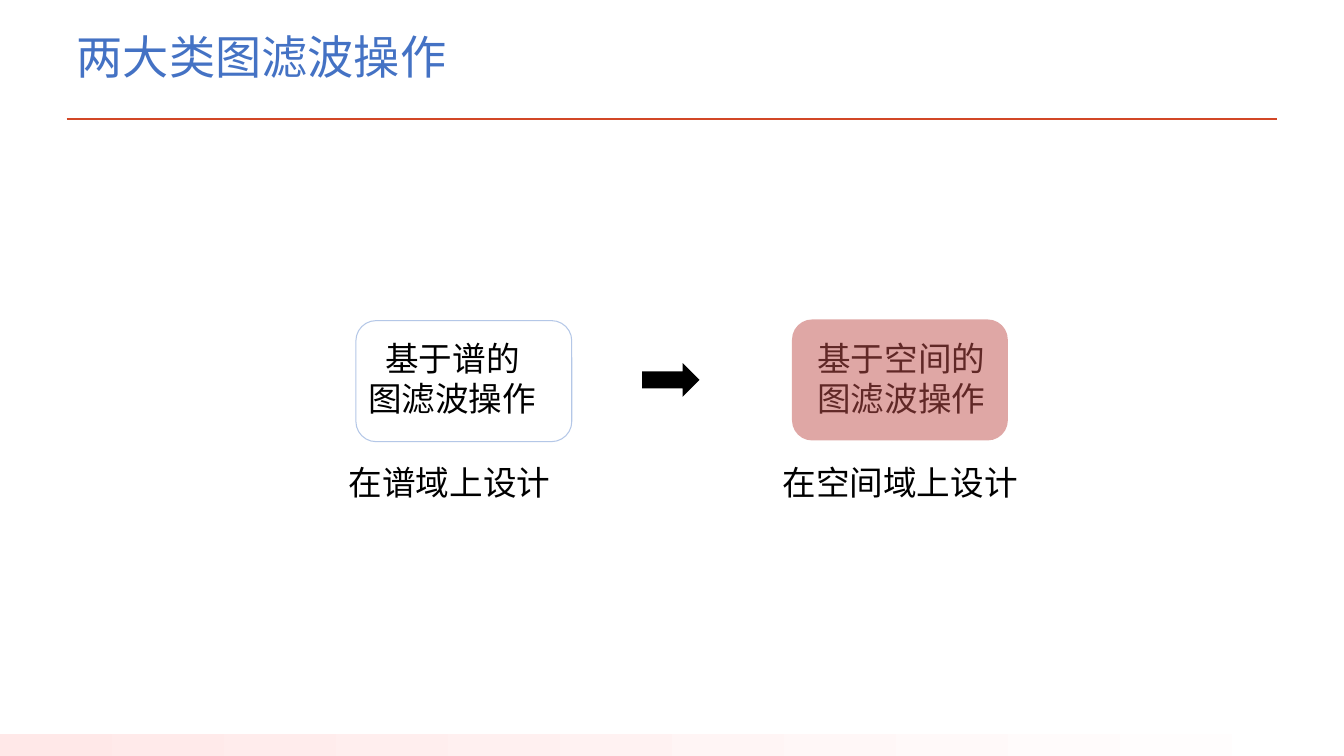
from lxml.etree import SubElement
from pptx import Presentation
from pptx.dml.color import RGBColor
from pptx.enum.shapes import MSO_CONNECTOR, MSO_SHAPE
from pptx.enum.text import MSO_ANCHOR, MSO_AUTO_SIZE, PP_ALIGN
from pptx.oxml.ns import qn
from pptx.util import Cm, Pt


def color(value):
    return RGBColor.from_string(value)


class SlideBuilder:
    """Holds the style and the current slide."""

    title_font = "Arial"
    body_font = "Noto Sans CJK TC"
    title_format = {"size": Pt(33), "name": title_font}
    body_format = {"size": Pt(24), "name": body_font}

    def __init__(self, presentation):
        self.slide = presentation.slides.add_slide(presentation.slide_layouts[5])

    def add_run(self, paragraph, text, formats, font_color):
        run = paragraph.add_run()
        run.text = text
        for name, value in formats.items():
            setattr(run.font, name, value)
        run.font.color.rgb = color(font_color)
        properties = run._r.get_or_add_rPr()
        SubElement(properties, qn("a:ea"), typeface=self.body_font)

    def title(self, text, left, top, width, height):
        shape = self.slide.shapes.title
        position = {"left": left, "top": top, "width": width, "height": height}
        for name, value in position.items():
            setattr(shape, name, Cm(value))
        frame = shape.text_frame
        frame.auto_size = MSO_AUTO_SIZE.NONE
        frame.vertical_anchor = MSO_ANCHOR.MIDDLE
        paragraph = frame.paragraphs[0]
        paragraph.alignment = PP_ALIGN.LEFT
        paragraph.line_spacing = 0.9
        self.add_run(paragraph, text, self.title_format, "4472C4")

    def shape(self, kind, left, top, width, height, fill=None, line=None, opacity=100):
        shape = self.slide.shapes.add_shape(
            kind, Cm(left), Cm(top), Cm(width), Cm(height))
        shape.shadow.inherit = False
        if fill:
            shape.fill.solid()
            shape.fill.fore_color.rgb = color(fill)
            if opacity < 100:
                fill_color = shape._element.spPr.find(f".//{qn('a:srgbClr')}")
                SubElement(fill_color, qn("a:alpha"), val=str(opacity * 1000))
        else:
            shape.fill.background()
        if line:
            shape.line.color.rgb = color(line)
            shape.line.width = Pt(0.75)
        else:
            shape.line.fill.background()
        return shape

    def gradient_band(self, left, top, width, height, colors):
        band = self.shape(MSO_SHAPE.RECTANGLE, left, top, width, height)
        band.fill.gradient()
        band.fill.gradient_angle = 0
        for stop, value in zip(band.fill.gradient_stops, colors):
            stop.color.rgb = color(value)

    def rule(self, left, top, right, line):
        connector = self.slide.shapes.add_connector(
            MSO_CONNECTOR.STRAIGHT, Cm(left), Cm(top), Cm(right), Cm(top))
        connector.line.color.rgb = color(line)
        connector.line.width = Pt(2)
        SubElement(connector._element.spPr, qn("a:effectLst"))

    def text(self, text, left, top, width, height, first_indent=0):
        box = self.slide.shapes.add_textbox(Cm(left), Cm(top), Cm(width), Cm(height))
        frame = box.text_frame
        frame.word_wrap = True
        for side in ("left", "top", "right", "bottom"):
            setattr(frame, f"margin_{side}", 0)
        paragraph = frame.paragraphs[0]
        properties = paragraph._p.get_or_add_pPr()
        properties.set("marL", str(Cm(0.03)))
        properties.set("indent", str(Cm(first_indent)))
        self.add_run(paragraph, text, self.body_format, "000000")


def main():
    presentation = Presentation()
    presentation.slide_width = Cm(33.87)
    presentation.slide_height = Cm(19.05)
    builder = SlideBuilder(presentation)

    # Background band, title and rule
    builder.gradient_band(0, 18.49, 33.87, 0.56, ("FFE8E8", "FFFFFF"))
    builder.rule(1.68, 3, 32.18, "D24726")
    builder.title("两大类图滤波操作", 1.68, 0, 29.21, 3)

    # Two kinds of filter: text, then its rounded frame
    filters = (
        ("基于谱的图滤波操作", 9.25, 0.43, 8.97, 8.08, {"line": "B4C7E7"}),
        ("基于空间的图滤波操作", 20.57, 0, 19.96, 8.05,
         {"fill": "C0504D", "opacity": 50}),
    )
    for text, text_left, indent, left, top, style in filters:
        builder.text(text, text_left, 8.51, 4.3, 2.11, indent)
        builder.shape(MSO_SHAPE.ROUNDED_RECTANGLE, left, top, 5.44, 3.05, **style)

    # Captions
    for text, left, width in (("在谱域上设计", 8.76, 5.16), ("在空间域上设计", 19.69, 6)):
        builder.text(text, left, 11.63, width, 1.02)

    # Arrow between the two kinds
    builder.shape(MSO_SHAPE.RIGHT_ARROW, 16.18, 9.15, 1.45, 0.85, fill="000000")

    presentation.save("out.pptx")


if __name__ == "__main__":
    main()
